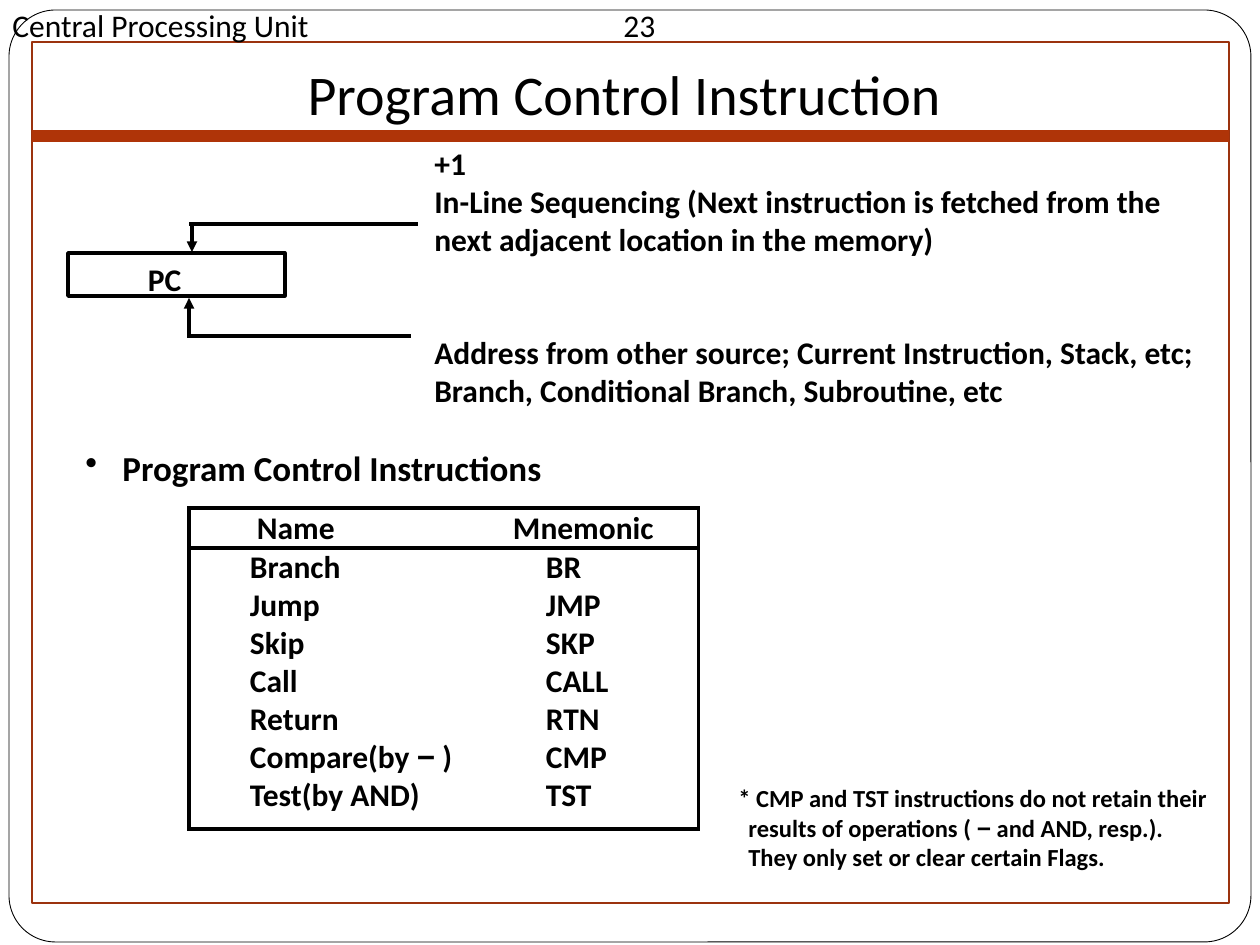
"""Build the slide on program control instructions."""
from lxml import etree
from pptx import Presentation
from pptx.dml.color import RGBColor
from pptx.enum.shapes import MSO_CONNECTOR, MSO_SHAPE
from pptx.enum.text import MSO_ANCHOR, PP_ALIGN
from pptx.oxml.ns import qn
from pptx.util import Emu, Pt

EMU_PER_PX = 914400 / 126
STRAIGHT = MSO_CONNECTOR.STRAIGHT
RECTANGLE = MSO_SHAPE.RECTANGLE
ROUNDED = MSO_SHAPE.ROUNDED_RECTANGLE
CENTER, LEFT = PP_ALIGN.CENTER, PP_ALIGN.LEFT
TOP, MIDDLE, BOTTOM = MSO_ANCHOR.TOP, MSO_ANCHOR.MIDDLE, MSO_ANCHOR.BOTTOM
BLACK = "000000"
MINUS = "−"
INSTRUCTIONS = [
    ("Name", "Mnemonic"),
    ("Branch", "BR"),
    ("Jump", "JMP"),
    ("Skip", "SKP"),
    ("Call", "CALL"),
    ("Return", "RTN"),
    ("Compare(by − )", "CMP"),
    ("Test(by AND)", "TST"),
]


def px(length):
    return Emu(round(length * EMU_PER_PX))


def color(value):
    return RGBColor.from_string(value)


def add_spans(para, text, size, bold):
    """Write text run by run, with the minus sign in Arial."""
    before, sign, after = text.partition(MINUS)
    for part, font in ((before, "Calibri"), (sign, "Arial"), (after, "Calibri")):
        if part:
            span = para.add_run()
            span.text = part
            span.font.name = font
            span.font.size = Pt(size)
            span.font.bold = bold
            span.font.color.rgb = color(BLACK)


def add_text(page, left, top, width, height, lines, size, bold=True, align=LEFT):
    """Add a wrapping text box and return its paragraphs."""
    frame = page.shapes.add_textbox(px(left), px(top), px(width), px(height)).text_frame
    frame.word_wrap = True
    for index, line in enumerate(lines):
        para = frame.add_paragraph() if index else frame.paragraphs[0]
        para.alignment = align
        add_spans(para, line, size, bold)
    return frame.paragraphs


def set_indent(para, margin, first=0):
    props = para._p.get_or_add_pPr()
    props.set("marL", str(px(margin)))
    props.set("indent", str(px(first)))
    return props


def add_frame(page, kind, left, top, width, height, line, points, fill=None):
    """Add an outlined shape, filled only when a fill is given."""
    shape = page.shapes.add_shape(kind, px(left), px(top), px(width), px(height))
    shape.shadow.inherit = False
    shape.line.color.rgb = color(line)
    shape.line.width = Pt(points)
    if fill:
        shape.fill.solid()
        shape.fill.fore_color.rgb = color(fill)
    else:
        shape.fill.background()
    return shape


def add_line(page, start, end, points=2, line=BLACK, arrow=False):
    """Add a straight line, with an arrowhead at its end if asked."""
    connector = page.shapes.add_connector(STRAIGHT, *map(px, start + end))
    connector.line.color.rgb = color(line)
    connector.line.width = Pt(points)
    if arrow:
        etree.SubElement(connector.line._get_or_add_ln(), qn("a:tailEnd"), type="triangle")
    etree.SubElement(connector._element.spPr, qn("a:effectLst"))


def set_borders(cell, edges):
    """Draw the named cell edges and hide the others."""
    props = cell._tc.get_or_add_tcPr()
    for position, edge in enumerate("LRTB"):
        line = etree.Element(qn(f"a:ln{edge}"), w=str(Pt(2)))
        if edge in edges:
            fill = etree.SubElement(line, qn("a:solidFill"))
            etree.SubElement(fill, qn("a:srgbClr"), val=BLACK)
        else:
            etree.SubElement(line, qn("a:noFill"))
        props.insert(position, line)


def add_instruction_table(page):
    """Add the table of instruction names and mnemonics."""
    last = len(INSTRUCTIONS) - 1
    table = page.shapes.add_table(last + 1, 2, px(189), px(508), px(510), px(321)).table
    table.first_row = table.horz_banding = False
    table.columns[0].width, table.columns[1].width = px(286), px(224)
    for row, names in enumerate(INSTRUCTIONS):
        table.rows[row].height = px({0: 40, last: 53}.get(row, 38))
        for column, name in enumerate(names):
            cell = table.cell(row, column)
            cell.margin_left = px(((68, 38), (61, 71))[row > 0][column])
            cell.margin_right = cell.margin_top = cell.margin_bottom = 0
            cell.vertical_anchor = TOP if row else BOTTOM
            cell.fill.background()
            edges = "LR"[column] + {0: "TB", 1: "T", last: "B"}.get(row, "")
            set_borders(cell, edges)
            add_spans(cell.text_frame.paragraphs[0], name, 18, True)


def add_counter_box(page):
    """Add the program counter and the two paths leading to it."""
    frame = add_frame(page, RECTANGLE, 68, 253, 217, 43, BLACK, 2).text_frame
    frame.margin_left, frame.margin_top = px(80), px(8)
    frame.margin_bottom = 0
    frame.vertical_anchor = MIDDLE
    frame.paragraphs[0].alignment = LEFT
    add_spans(frame.paragraphs[0], "PC", 18, True)
    add_line(page, (418, 224), (189, 224))
    add_line(page, (192, 224), (192, 252), arrow=True)
    add_line(page, (411, 336), (187, 336))
    add_line(page, (189, 336), (189, 298), arrow=True)


def add_header(page):
    """Add the frames, the running head and the title."""
    outer = add_frame(page, ROUNDED, 9, 10, 1242, 932, BLACK, 0.5, "FFFFFF")
    outer.adjustments[0] = 0.05
    add_frame(page, RECTANGLE, 32, 42, 1197, 861, "9B320E", 1)
    head = add_text(page, 0, 0, 1260, 52, ["Central Processing Unit\t23"], 18, False)[0]
    tabs = etree.SubElement(head._p.get_or_add_pPr(), qn("a:tabLst"))
    etree.SubElement(tabs, qn("a:tab"), pos=str(px(611)), algn="l")
    add_line(page, (32, 136), (1229, 136), 6.75, "AF3408")
    add_text(page, 94, 53, 1061, 81, ["Program Control Instruction"], 32, False, CENTER)


def main():
    deck = Presentation()
    deck.slide_width, deck.slide_height = px(1260), px(945)
    page = deck.slides.add_slide(deck.slide_layouts[6])
    add_header(page)
    add_counter_box(page)
    sources = add_text(page, 422, 138, 795, 277, [
        "+1",
        "In-Line Sequencing (Next instruction is fetched from the "
        "next adjacent location in the memory)",
        "Address from other source; Current Instruction, Stack, etc; "
        "Branch, Conditional Branch, Subroutine, etc",
    ], 18)
    sources[2].space_before = Pt(43)
    heading = add_text(page, 73, 440, 615, 54, ["Program Control Instructions"], 20)[0]
    etree.SubElement(set_indent(heading, 37, -37), qn("a:buChar"), char="•")
    add_instruction_table(page)
    note = add_text(page, 726, 777, 514, 101, [
        "* CMP and TST instructions do not retain their",
        "results of operations ( − and AND, resp.).",
        "They only set or clear certain Flags.",
    ], 14)
    for para in note[1:]:
        set_indent(para, 10)
    deck.save("out.pptx")


if __name__ == "__main__":
    main()
